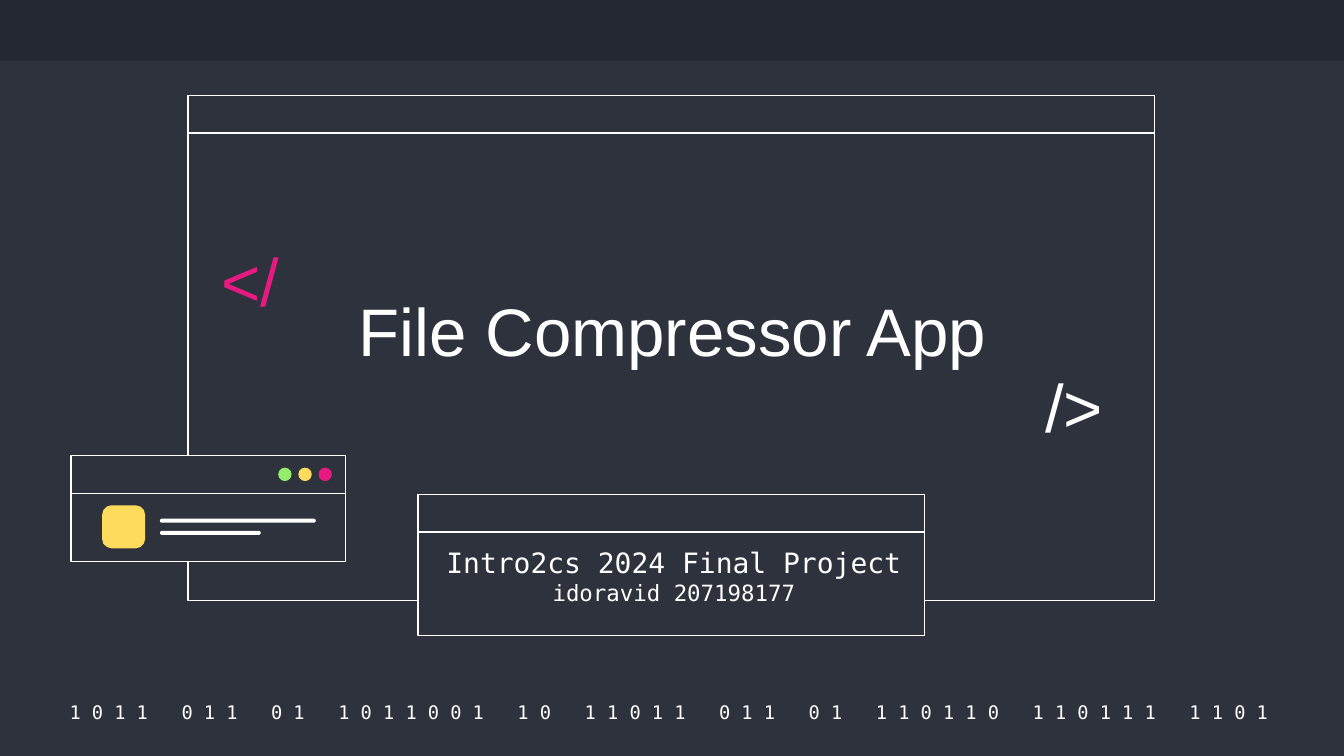
"""Build the title slide of the File Compressor App deck."""
from pptx import Presentation
from pptx.dml.color import RGBColor
from pptx.enum.shapes import MSO_SHAPE as Shape
from pptx.enum.text import MSO_ANCHOR as Anchor, PP_ALIGN as Align
from pptx.util import Inches, Pt

NAVY = RGBColor(0x2D, 0x32, 0x3C)
DARK = RGBColor(0x24, 0x28, 0x30)
WHITE = RGBColor(0xFF, 0xFF, 0xFF)
PINK = RGBColor(0xE8, 0x19, 0x81)
YELLOW = RGBColor(0xFF, 0xDB, 0x5D)
GREEN = RGBColor(0x94, 0xEE, 0x6B)
SANS, MONO = "Arial", "DejaVu Sans Mono"
BAR_HEIGHT = 0.28
INSET = 0.1

BITS = "1011 011 01 1011001 10 11011 011 01 110110 110111 1101".split()
BINARY = "  ".join("".join(f"{bit} " for bit in group) for group in BITS)

MAIN_WINDOW = (1.4, 0.71, 7.19, 3.76)
SUBTITLE_WINDOW = (3.11, 3.68, 3.77, 1.05)
SMALL_WINDOW = (0.53, 3.39, 2.04, 0.79)

TEXTS = [
    {"at": (0.38, 5.2, 9.27, 0.2), "lines": [(BINARY, 10)], "font": MONO},
    {"at": (1.55, 1.79, 0.77, 0.66), "lines": [("</", 36)], "color": PINK,
     "align": Align.LEFT, "spacing": 0.9},
    {"at": (7.68, 2.73, 0.77, 0.66), "lines": [("/>", 36)],
     "align": Align.LEFT, "spacing": 0.9},
    {"at": (2.26, 1.41, 5.49, 1.98), "lines": [("File Compressor App", 36)],
     "anchor": Anchor.BOTTOM, "spacing": 0.9, "bottom": 0.82},
    {"at": (3.03, 3.96, 3.97, 0.78), "font": MONO, "anchor": Anchor.TOP,
     "lines": [("Intro2cs 2024 Final Project", 15), ("idoravid 207198177", 12)]},
]

ICON = (0.76, 3.76, 0.32, 0.32)
TEXT_BARS = [(1.19, 3.86, 1.16, 0.03), (1.19, 3.95, 0.75, 0.03)]
DOT_COLORS = [GREEN, YELLOW, PINK]
DOT_LEFT, DOT_TOP, DOT_SIZE, DOT_STEP = 2.07, 3.48, 0.1, 0.15


def add_block(page, kind, at, fill, outline=None, rounding=None):
    block = page.shapes.add_shape(kind, *map(Inches, at))
    block.shadow.inherit = False
    block.fill.solid()
    block.fill.fore_color.rgb = fill
    if outline is None:
        block.line.fill.background()
    else:
        block.line.color.rgb = outline
        block.line.width = Pt(0.75)
    if rounding is not None:
        block.adjustments[0] = rounding


def add_window(page, at):
    left, top, width, _ = at
    for part in (at, (left, top, width, BAR_HEIGHT)):
        add_block(page, Shape.RECTANGLE, part, NAVY, WHITE)


def add_text(page, at, lines, font=SANS, color=WHITE, align=Align.CENTER,
             anchor=Anchor.MIDDLE, spacing=1.0, bottom=INSET):
    frame = page.shapes.add_textbox(*map(Inches, at)).text_frame
    frame_format = {"word_wrap": True, "vertical_anchor": anchor,
                    "margin_left": Inches(INSET), "margin_right": Inches(INSET),
                    "margin_top": Inches(INSET), "margin_bottom": Inches(bottom)}
    for name, value in frame_format.items():
        setattr(frame, name, value)
    for index, (words, size) in enumerate(lines):
        para = frame.add_paragraph() if index else frame.paragraphs[0]
        para.alignment = align
        para.line_spacing = spacing
        span = para.add_run()
        span.text = words
        for name, value in {"name": font, "size": Pt(size)}.items():
            setattr(span.font, name, value)
        span.font.color.rgb = color


def main():
    deck = Presentation()
    deck.slide_width = Inches(10)
    deck.slide_height = deck.slide_width * 9 // 16
    page = deck.slides.add_slide(deck.slide_layouts[6])
    page.background.fill.solid()
    page.background.fill.fore_color.rgb = NAVY

    add_block(page, Shape.RECTANGLE, (0, 0, 10, 0.45), DARK)
    for window in (MAIN_WINDOW, SUBTITLE_WINDOW):
        add_window(page, window)
    for text in TEXTS:
        add_text(page, **text)

    add_window(page, SMALL_WINDOW)
    add_block(page, Shape.ROUNDED_RECTANGLE, ICON, YELLOW, rounding=0.22)
    for bar in TEXT_BARS:
        add_block(page, Shape.ROUNDED_RECTANGLE, bar, WHITE, rounding=0.5)
    for index, color in enumerate(DOT_COLORS):
        left = DOT_LEFT + index * DOT_STEP
        add_block(page, Shape.OVAL, (left, DOT_TOP, DOT_SIZE, DOT_SIZE), color)

    deck.save("out.pptx")


if __name__ == "__main__":
    main()
